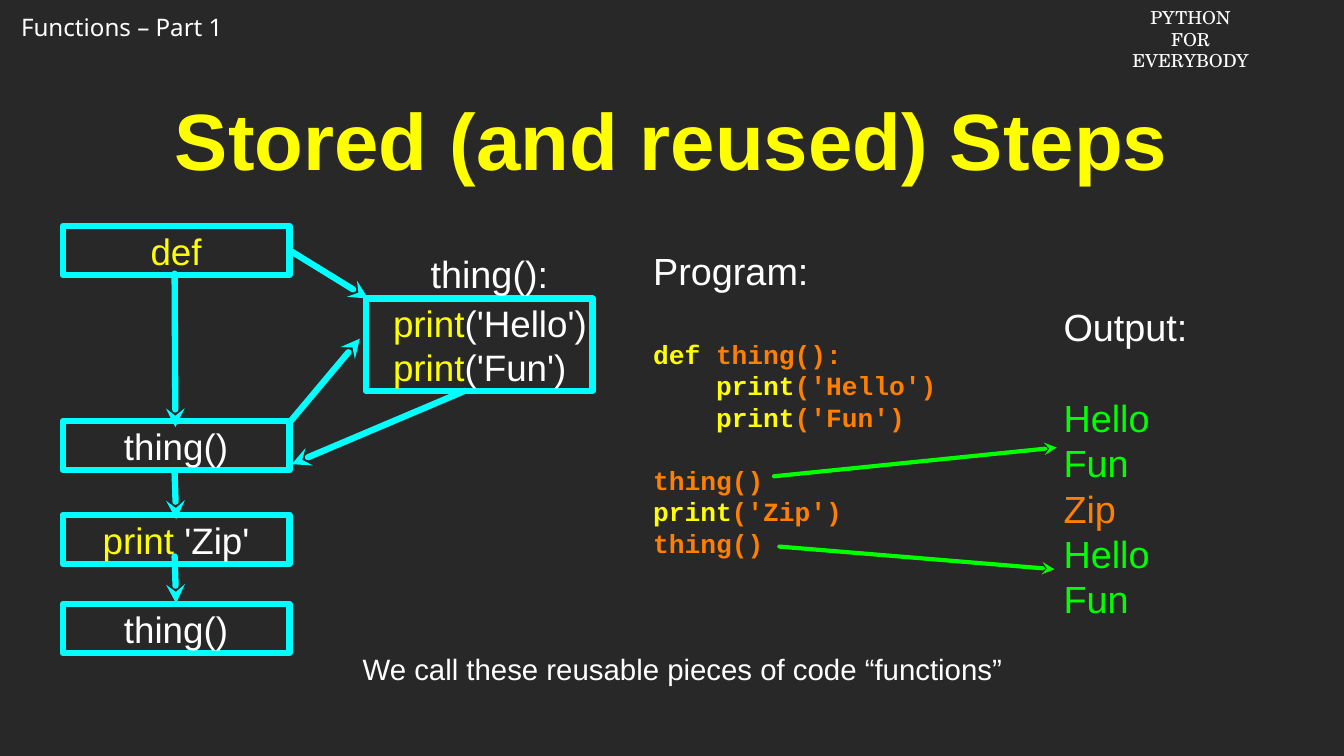
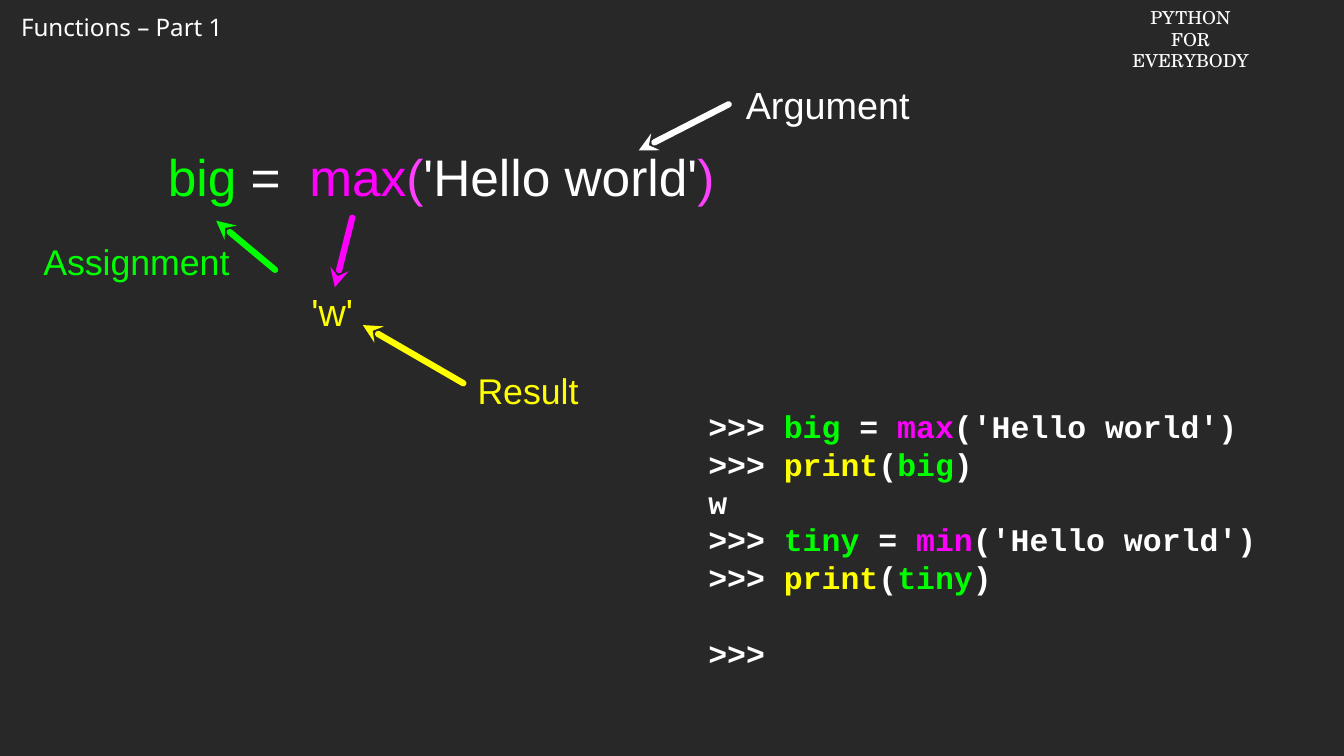
from dataclasses import dataclass, field
from typing import Any

import lxml.etree
import pptx
import pptx.dml.color
import pptx.enum.shapes
import pptx.enum.text
import pptx.oxml.ns
import pptx.slide
import pptx.text.text
import pptx.util

Inches = pptx.util.Inches
Pt = pptx.util.Pt
ALIGN = pptx.enum.text.PP_ALIGN
ANCHOR = pptx.enum.text.MSO_ANCHOR

TITLE_ONLY_LAYOUT = 5
BLANK_LAYOUT = 6


def rgb(value: str) -> pptx.dml.color.RGBColor:
    return pptx.dml.color.RGBColor.from_string(value)


@dataclass(frozen=True)
class Theme:
    background: Any = rgb("282828")
    white: Any = rgb("FFFFFF")
    yellow: Any = rgb("FFFF00")
    cyan: Any = rgb("00FFFF")
    green: Any = rgb("00FF00")
    orange: Any = rgb("FF7F00")
    magenta: Any = rgb("FF00FF")
    pink: Any = rgb("FF40FF")
    sans: str = "Arial"
    mono: str = "Courier New"
    header: str = "Noto Sans"
    brand: str = "TeX Gyre Schola"
    title_size: int = 76
    expression_size: int = 49
    body_size: int = 36
    step_size: int = 35
    caption_size: int = 34
    console_size: int = 30
    note_size: int = 28
    code_size: int = 25
    header_size: int = 23
    brand_size: int = 17
    line_height: float = 1.2
    thick: int = 6
    thin: int = 4


THEME = Theme()
WHITE, YELLOW, GREEN = THEME.white, THEME.yellow, THEME.green
ORANGE, MAGENTA, PINK = THEME.orange, THEME.magenta, THEME.pink


@dataclass(frozen=True)
class Style:
    size: int
    font: str = THEME.sans
    bold: bool = False
    line_height: float | None = THEME.line_height


BODY = Style(THEME.body_size)
STEP = Style(THEME.step_size)
CAPTION = Style(THEME.caption_size)
CODE = Style(THEME.code_size, THEME.mono, True)
CONSOLE = Style(THEME.console_size, THEME.mono, True)


@dataclass(frozen=True)
class Line:
    runs: tuple
    style: Style = BODY
    before: float = 0


@dataclass(frozen=True)
class TextBlock:
    at: tuple
    lines: list
    align: Any = ALIGN.LEFT
    boxed: bool = False
    frame: dict = field(default_factory=dict)


@dataclass(frozen=True)
class Arrow:
    tip: tuple
    origin: tuple
    color: Any = THEME.cyan
    width: int = THEME.thick


def line(style: Style, *runs: tuple, before: float = 0) -> Line:
    return Line(runs, style, before)


def set_values(target: Any, values: dict) -> None:
    for name, value in values.items():
        setattr(target, name, value)


def fill_text(text_frame: pptx.text.text.TextFrame, block: TextBlock) -> None:
    set_values(text_frame, {
        "auto_size": pptx.enum.text.MSO_AUTO_SIZE.NONE,
        "word_wrap": True, "vertical_anchor": ANCHOR.MIDDLE,
        "margin_left": 0, "margin_right": 0, "margin_top": 0, "margin_bottom": 0,
        **block.frame,
    })
    for index, item in enumerate(block.lines):
        paragraph = text_frame.add_paragraph() if index else text_frame.paragraphs[0]
        style = item.style
        spacing = Pt(style.size * style.line_height) if style.line_height else None
        set_values(paragraph, {
            "alignment": block.align, "line_spacing": spacing,
            "space_before": Pt(item.before), "space_after": Pt(0),
        })
        for text, color in item.runs:
            run = paragraph.add_run()
            run.text = text
            set_values(run.font, {"name": style.font, "size": Pt(style.size), "bold": style.bold})
            run.font.color.rgb = color


def draw_text(slide: pptx.slide.Slide, block: TextBlock) -> None:
    position = [Inches(value) for value in block.at]
    if block.boxed:
        shape = slide.shapes.add_shape(pptx.enum.shapes.MSO_SHAPE.RECTANGLE, *position)
        shape.shadow.inherit = False
        shape.fill.background()
        shape.line.color.rgb = THEME.cyan
        shape.line.width = Pt(THEME.thick)
    else:
        shape = slide.shapes.add_textbox(*position)
    fill_text(shape.text_frame, block)


def draw_title(slide: pptx.slide.Slide, text: str) -> None:
    title = slide.shapes.title
    at = (1.26, 0.88, 15.24, 1.9)
    set_values(title, dict(zip(("left", "top", "width", "height"), map(Inches, at))))
    style = Style(THEME.title_size, bold=True)
    fill_text(title.text_frame, TextBlock(at, [line(style, (text, YELLOW))], ALIGN.CENTER))


def draw_arrow(slide: pptx.slide.Slide, arrow: Arrow) -> None:
    connector = slide.shapes.add_connector(
        pptx.enum.shapes.MSO_CONNECTOR.STRAIGHT,
        *[Inches(value) for value in arrow.tip + arrow.origin],
    )
    connector.line.color.rgb = arrow.color
    connector.line.width = Pt(arrow.width)
    qualified = pptx.oxml.ns.qn
    properties = connector.element.find(qualified("p:spPr"))
    outline = properties.find(qualified("a:ln"))
    outline.set("cap", "rnd")
    lxml.etree.SubElement(outline, qualified("a:round"))
    lxml.etree.SubElement(outline, qualified("a:headEnd"), type="stealth")
    lxml.etree.SubElement(properties, qualified("a:effectLst"))


def draw_header(slide: pptx.slide.Slide) -> None:
    chapter = Style(THEME.header_size, THEME.header, line_height=None)
    course = Style(THEME.brand_size, THEME.brand, line_height=None)
    frame = {
        "word_wrap": False, "vertical_anchor": ANCHOR.TOP,
        "margin_left": Inches(0.1), "margin_right": Inches(0.1),
        "margin_top": Inches(0.05), "margin_bottom": Inches(0.05),
    }
    draw_text(slide, TextBlock((0.18, 0.12, 3, 0.49),
                               [line(chapter, ("Functions – Part 1", WHITE))], frame=frame))
    words = [line(course, (word, WHITE)) for word in ("PYTHON", "FOR", "EVERYBODY")]
    draw_text(slide, TextBlock((14.88, 0.04, 1.74, 0.67), words, ALIGN.CENTER, frame=frame))


def add_slide(presentation: Any, layout: int, blocks: list, arrows: list) -> pptx.slide.Slide:
    slide = presentation.slides.add_slide(presentation.slide_layouts[layout])
    draw_header(slide)
    for block in blocks:
        draw_text(slide, block)
    for arrow in arrows:
        draw_arrow(slide, arrow)
    return slide


def label(at: tuple, style: Style, text: str, color: Any) -> TextBlock:
    return TextBlock(at, [line(style, (text, color))], ALIGN.CENTER)


def add_stored_steps(presentation: Any) -> None:
    body_gap = THEME.body_size * THEME.line_height
    code_gap = THEME.code_size * THEME.line_height
    output = [("Hello", GREEN), ("Fun", GREEN), ("Zip", ORANGE), ("Hello", GREEN), ("Fun", GREEN)]
    output_lines = [line(BODY, run, before=0 if index else body_gap)
                    for index, run in enumerate(output)]
    program = [
        line(BODY, ("Program:", WHITE)),
        line(CODE, ("def", YELLOW), (" thing():", ORANGE), before=body_gap),
        line(CODE, ("    ", ORANGE), ("print", YELLOW), ("('Hello')", ORANGE)),
        line(CODE, ("    ", ORANGE), ("print", YELLOW), ("('Fun')", ORANGE)),
        line(CODE, ("thing()", ORANGE), before=code_gap),
        line(CODE, ("print", YELLOW), ("('Zip')", ORANGE)),
        line(CODE, ("thing()", ORANGE)),
    ]
    function_body = [line(STEP, ("print", YELLOW), (text, WHITE))
                     for text in ("('Hello')", "('Fun')")]
    steps = [
        (2.99, [("def", YELLOW)]),
        (5.57, [("thing()", WHITE)]),
        (6.81, [("print ", YELLOW), ("'Zip'", WHITE)]),
        (7.99, [("thing()", WHITE)]),
    ]
    blocks = [
        TextBlock((14.07, 4.07, 3.46, 4.1), [line(BODY, ("Output:", WHITE)), *output_lines]),
        TextBlock((8.64, 3.25, 3.92, 4.16), program),
        TextBlock((4.84, 3.95, 3, 1.22), function_body, boxed=True,
                  frame={"margin_left": Inches(0.36)}),
        label((5.51, 3.28, 1.93, 0.68), BODY, "thing():", WHITE),
        label((4.21, 8.5, 9.63, 0.68), Style(THEME.note_size),
              "We call these reusable pieces of code “functions”", WHITE),
        *[TextBlock((0.83, top, 3, 0.65), [line(STEP, *runs)], ALIGN.CENTER, True)
          for top, runs in steps],
    ]
    arrows = [
        Arrow((2.32, 5.65), (2.31, 3.62)),
        Arrow((2.33, 6.87), (2.31, 6.25)),
        Arrow((2.33, 7.98), (2.31, 7.36)),
        Arrow((4.87, 3.95), (3.83, 3.31)),
        Arrow((4.76, 4.48), (3.82, 5.6)),
        Arrow((3.86, 6.14), (6.15, 5.17)),
        Arrow((13.98, 5.92), (10.24, 6.3), GREEN, THEME.thin),
        Arrow((13.95, 7.53), (10.31, 7.23), GREEN, THEME.thin),
    ]
    slide = add_slide(presentation, TITLE_ONLY_LAYOUT, blocks, arrows)
    draw_title(slide, "Stored (and reused) Steps")


def add_max_call(presentation: Any) -> None:
    prompt = (">>> ", WHITE)
    console = []
    for variable, function, result in (("big", "max", "w"), ("tiny", "min", None)):
        console.append(line(CONSOLE, prompt, (variable, GREEN), (" = ", WHITE),
                            (function, MAGENTA), ("('Hello world')", WHITE)))
        console.append(line(CONSOLE, prompt, ("print", YELLOW), ("(", WHITE),
                            (variable, GREEN), (")", WHITE)))
        if result:
            console.append(line(CONSOLE, (result, WHITE)))
    console.append(line(CONSOLE, (">>>", WHITE), before=THEME.console_size * THEME.line_height))
    expression = line(Style(THEME.expression_size), ("big", GREEN), (" =  ", WHITE),
                      ("max", MAGENTA), ("(", PINK), ("'Hello world'", WHITE), (")", PINK))
    blocks = [
        TextBlock((9.37, 5.33, 7.64, 3.61), console),
        TextBlock((2.22, 1.88, 7.42, 0.89), [expression]),
        TextBlock((4.12, 3.78, 0.67, 0.68), [line(BODY, ("'w'", YELLOW))]),
        label((9.64, 1.04, 2.62, 0.68), BODY, "Argument", WHITE),
        label((6.29, 4.82, 1.39, 0.68), CAPTION, "Result", YELLOW),
        label((0.37, 3.12, 2.87, 0.68), CAPTION, "Assignment", GREEN),
    ]
    arrows = [
        Arrow((8.45, 1.99), (9.64, 1.38), WHITE),
        Arrow((4.8, 4.3), (6.13, 5.07), YELLOW),
        Arrow((2.86, 2.92), (3.64, 3.57), GREEN),
        Arrow((4.43, 3.8), (4.66, 2.88), MAGENTA),
    ]
    add_slide(presentation, BLANK_LAYOUT, blocks, arrows)


def main() -> None:
    presentation = pptx.Presentation()
    set_values(presentation, {"slide_width": Inches(17.78), "slide_height": Inches(10)})
    background = presentation.slide_master.background.fill
    background.solid()
    background.fore_color.rgb = THEME.background
    add_stored_steps(presentation)
    add_max_call(presentation)
    presentation.save("out.pptx")


if __name__ == "__main__":
    main()
